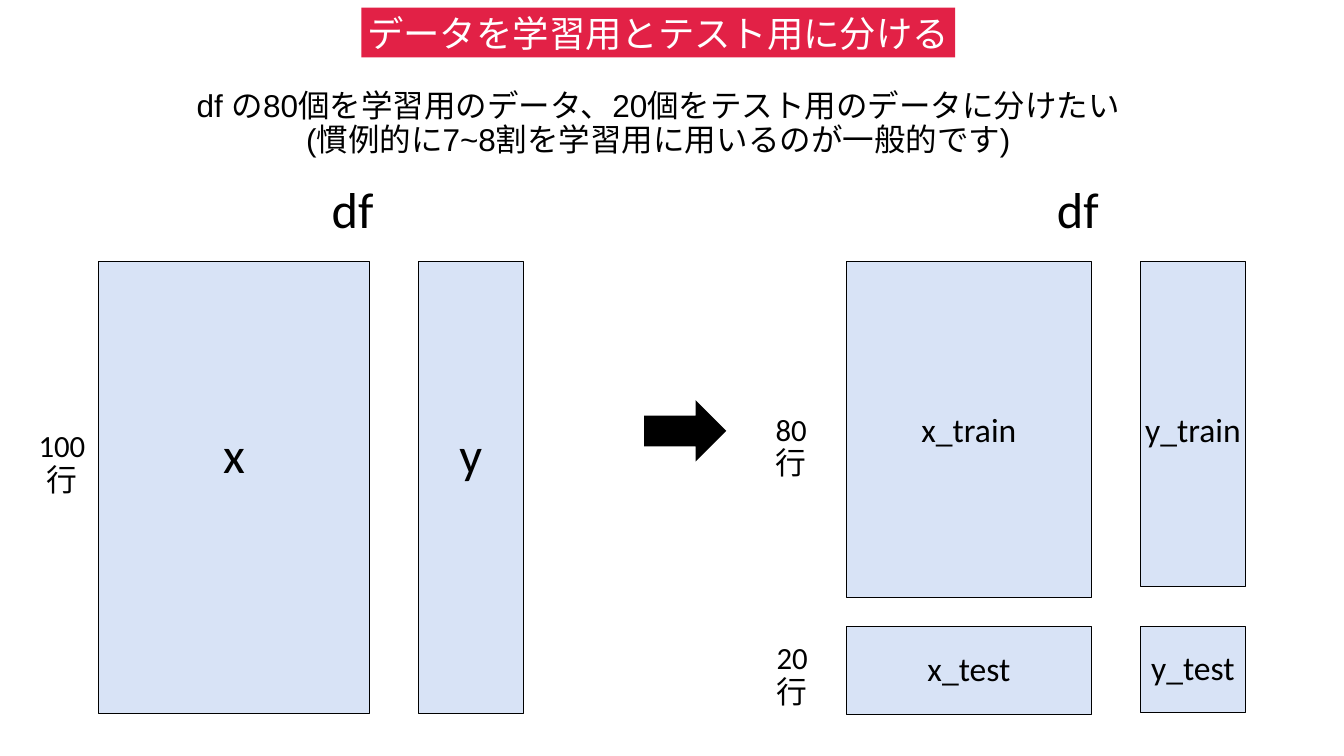
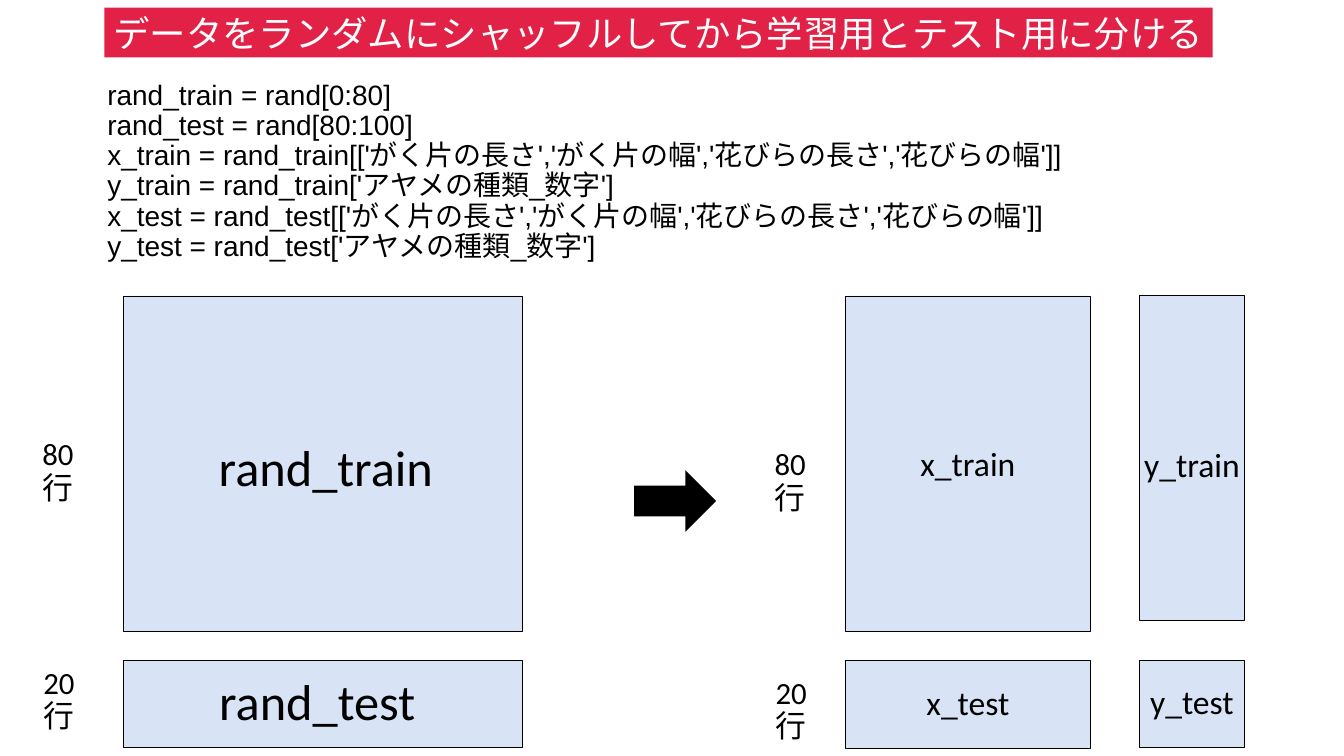
from pptx import Presentation
from pptx.dml.color import RGBColor
from pptx.enum.shapes import MSO_SHAPE as Shape
from pptx.enum.text import MSO_ANCHOR as Anchor, MSO_AUTO_SIZE as AutoSize, PP_ALIGN as Align
from pptx.util import Inches, Pt

COLUMNS, ROWS = 80, 45
WIDTH, HEIGHT = Inches(26.67), Inches(15)
RED, PALE_BLUE, BLACK, WHITE = "E22146", "D8E3F6", "000000", "FFFFFF"
LABEL_HEIGHTS = {72: 3.6, 48: 2.52}
FRAME_FORMAT = {
    "vertical_anchor": Anchor.MIDDLE,
    "auto_size": AutoSize.SHAPE_TO_FIT_TEXT,
    **{f"margin_{side}": Inches(0.06) for side in ("left", "top", "right", "bottom")},
}


def color(hex_value):
    return RGBColor.from_string(hex_value)


def set_all(target, values):
    for name, value in values.items():
        setattr(target, name, value)


class SlideBuilder:
    """Draws on the current slide; lengths are columns and rows of an 80 by 45 grid."""

    def __init__(self, presentation):
        self.presentation = presentation
        self.slide = None

    def area(self, left, top, width, height):
        column, row = WIDTH / COLUMNS, HEIGHT / ROWS
        return [round(length) for length in
                (left * column, top * row, width * column, height * row)]

    def fill_text(self, shape, lines, size, font="Calibri", text_color=BLACK,
                  align=Align.CENTER, wrap=False, spacing=0.9):
        frame = shape.text_frame
        frame.text = "\n".join(lines)
        set_all(frame, {**FRAME_FORMAT, "word_wrap": wrap})
        for paragraph in frame.paragraphs:
            set_all(paragraph, {"alignment": align, "line_spacing": spacing})
            set_all(paragraph.font, {"name": font, "size": Pt(size), "bold": False})
            paragraph.font.color.rgb = color(text_color)

    def new_slide(self, title, left, width):
        self.slide = self.presentation.slides.add_slide(self.presentation.slide_layouts[5])
        heading = self.slide.shapes.title
        sides = self.area(left, 0.45, width, 2.97)
        set_all(heading, dict(zip(("left", "top", "width", "height"), sides)))
        heading.fill.solid()
        heading.fill.fore_color.rgb = color(RED)
        self.fill_text(heading, [title], 52, "Arial", WHITE, spacing=1.0)

    def text(self, area, lines, size, **style):
        self.fill_text(self.slide.shapes.add_textbox(*self.area(*area)), lines, size, **style)

    def shape(self, kind, area, fill, outlined):
        shape = self.slide.shapes.add_shape(kind, *self.area(*area))
        shape.shadow.inherit = False
        shape.fill.solid()
        shape.fill.fore_color.rgb = color(fill)
        if outlined:
            shape.line.color.rgb = color(BLACK)
            shape.line.width = Pt(1)
        else:
            shape.line.fill.background()

    def arrow(self, left, top):
        self.shape(Shape.RIGHT_ARROW, (left, top, 4.89, 3.66), BLACK, False)

    def block(self, area, label, size, label_width, shift=(0, 0)):
        """A data block with its label, shifted from the block's centre."""
        self.shape(Shape.RECTANGLE, area, PALE_BLUE, True)
        left, top, width, height = area
        label_height = LABEL_HEIGHTS[size]
        self.text((left + (width - label_width) / 2 + shift[0],
                   top + (height - label_height) / 2 + shift[1],
                   label_width, label_height), [label], size)

    def row_count(self, left, top, count):
        self.text((left, top, 3.54, 4.35), [f"{count}行"], 44, wrap=True)

    def split_counts(self, left, top):
        self.row_count(left, top, 80)
        self.row_count(left + 0.06, top + 13.59, 20)

    def split_blocks(self, left, top):
        """The four train and test blocks with their row counts."""
        y_left, test_top = left + 17.49, top + 21.7
        self.block((left, top, 14.55, 20), "x_train", 48, 6.09, (0, 0.1))
        self.block((y_left, top, 6.24, 19.32), "y_train", 48, 6.09, (0, 0.48))
        self.block((left, test_top, 14.55, 5.25), "x_test", 48, 5.37)
        self.block((y_left, test_top, 6.24, 5.16), "y_test", 48, 5.4)
        self.split_counts(left - 5.07, top + 8.94)


def build_split_slide(builder):
    builder.new_slide("データを学習用とテスト用に分ける", 21.51, 35.34)
    builder.text((11.25, 5.16, 55.86, 4.44),
                 ["df の80個を学習用のデータ、20個をテスト用のデータに分けたい",
                  "(慣例的に7~8割を学習用に用いるのが一般的です)"],
                 45, font="Arial", wrap=True)
    for left in (19.56, 62.73):
        builder.text((left, 10.83, 2.85, 3.6), ["df"], 72)
    top = 15.57
    builder.block((5.88, top, 16.08, 26.88), "x", 72, 1.65, (0, -1.8))
    builder.block((24.9, top, 6.24, 26.88), "y", 72, 1.71, (0, -1.8))
    builder.row_count(1.92, 25.47, 100)
    builder.arrow(38.34, 23.82)
    builder.split_blocks(50.4, top)


def build_shuffle_slide(builder):
    builder.new_slide("データをランダムにシャッフルしてから学習用とテスト用に分ける", 6.21, 65.97)
    code = ["rand_train = rand[0:80]", "rand_test = rand[80:100]"]
    for part in ("train", "test"):
        code += [f"x_{part} = rand_{part}[['がく片の長さ','がく片の幅','花びらの長さ','花びらの幅']]",
                 f"y_{part} = rand_{part}['アヤメの種類_数字']"]
    builder.text((6.21, 4.59, 72.81, 11.25), code, 40, font="Arial",
                 align=Align.LEFT, wrap=True)
    top = 17.61
    builder.block((7.35, top, 23.76, 20), "rand_train", 72, 13.35, (0.17, 0.4))
    builder.block((7.35, top + 21.7, 23.76, 5.16), "rand_test", 72, 12.27, (-0.35, 0))
    builder.split_counts(1.68, 25.95)
    builder.arrow(37.74, 27.99)
    builder.split_blocks(50.34, top)


def main():
    presentation = Presentation()
    set_all(presentation, {"slide_width": WIDTH, "slide_height": HEIGHT})
    builder = SlideBuilder(presentation)
    build_split_slide(builder)
    build_shuffle_slide(builder)
    presentation.save("out.pptx")


if __name__ == "__main__":
    main()
